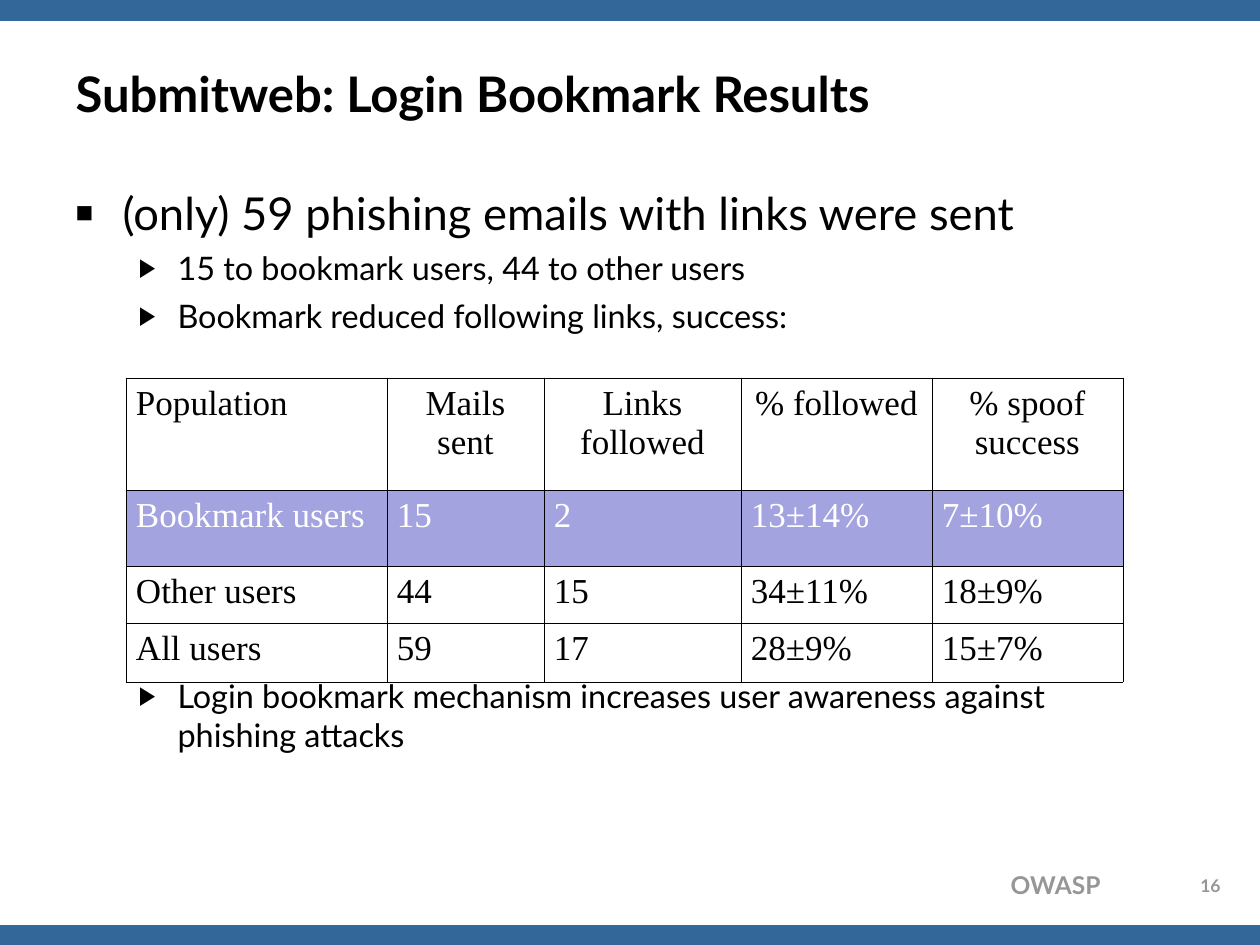
import pptx
import pptx.util
import pptx.dml.color
import pptx.enum.shapes
import pptx.enum.text
import pptx.oxml
import pptx.oxml.ns
import lxml.etree

PX = 914400 / 126
HUES = {"bar": "336699", "ink": "000000", "gray": "969696",
        "band": "A3A3E0", "white": "FFFFFF"}
ALIGN = pptx.enum.text.PP_ALIGN
qn = pptx.oxml.ns.qn


def place(*sides):
    return [pptx.util.Emu(round(side * PX)) for side in sides]


def style(para, face, size, hue, bold=False, align=ALIGN.LEFT):
    para.alignment = align
    font = para.font
    font.name = face
    font.size = pptx.util.Pt(size)
    font.bold = bold
    font.color.rgb = pptx.dml.color.RGBColor.from_string(HUES[hue])


deck = pptx.Presentation()
deck.slide_width, deck.slide_height = place(1260, 945)
slide = deck.slides.add_slide(deck.slide_layouts[1])
shapes = slide.shapes

for top in (0, 925):
    bar = shapes.add_shape(pptx.enum.shapes.MSO_SHAPE.RECTANGLE,
                           *place(0, top, 1260, 21))
    bar.shadow.inherit = False
    bar.fill.solid()
    bar.fill.fore_color.rgb = pptx.dml.color.RGBColor.from_string(HUES["bar"])
    bar.line.fill.background()

footers = [("OWASP", (784, 864, 329, 43), 14, ALIGN.RIGHT),
           ("16", (1183, 869, 55, 32), 10, ALIGN.CENTER)]
for text, box, size, align in footers:
    frame = shapes.add_textbox(*place(*box)).text_frame
    frame.word_wrap = True
    frame.text = text
    style(frame.paragraphs[0], "Lato", size, "gray", True, align)

title = shapes.title
title.left, title.top, title.width, title.height = place(63, 38, 1134, 110)
title.text_frame.text = "Submitweb: Login Bookmark Results"
title.text_frame.vertical_anchor = pptx.enum.text.MSO_ANCHOR.MIDDLE
style(title.text_frame.paragraphs[0], "Lato", 28, "ink", True)

body = slide.placeholders[1]
body.left, body.top, body.width, body.height = place(63, 179, 1092, 665)
frame = body.text_frame
frame.auto_size = pptx.enum.text.MSO_AUTO_SIZE.NONE
points = [
    ("(only) 59 phishing emails with links were sent", 0, 0),
    ("15 to bookmark users, 44 to other users", 1, 5),
    ("Bookmark reduced following links, success:", 1, 5),
    ("Login bookmark mechanism increases user awareness against phishing attacks",
     1, 195),
]
levels = [(25.9, 47, -47, "■", 65000), (18.5, 102, -39, "▶", 80000)]
frame.text = "\n".join(text for text, level, gap in points)
for para, (text, level, gap) in zip(frame.paragraphs, points):
    size, left, hang, mark, scale = levels[level]
    para.level = level
    para.space_before = pptx.util.Pt(gap)
    props = para._p.get_or_add_pPr()
    for key, length in zip(("marL", "indent"), place(left, hang)):
        props.set(key, str(length))
    lxml.etree.SubElement(props, qn("a:buSzPct"), val=str(scale))
    lxml.etree.SubElement(props, qn("a:buChar"), char=mark)
    style(para, "Lato", size, "ink")

rows = [
    ["Population", "Mails sent", "Links followed", "% followed", "% spoof success"],
    ["Bookmark users", "15", "2", "13±14%", "7±10%"],
    ["Other users", "44", "15", "34±11%", "18±9%"],
    ["All users", "59", "17", "28±9%", "15±7%"],
]
widths = [261, 157, 197, 191, 191]
heights = [112, 76, 57, 59]
table = shapes.add_table(len(rows), len(widths),
                         *place(126, 378, sum(widths), sum(heights))).table
table.first_row = table.horz_banding = False
for col, width in zip(table.columns, place(*widths)):
    col.width = width
for row, height in zip(table.rows, place(*heights)):
    row.height = height

for r, texts in enumerate(rows):
    for c, text in enumerate(texts):
        cell = table.cell(r, c)
        cell.text = text
        cell.margin_left, cell.margin_right = place(10, 10)
        cell.margin_top, cell.margin_bottom = place(6, 6)
        props = cell._tc.get_or_add_tcPr()
        for side in ("lnL", "lnR", "lnT", "lnB"):
            line = lxml.etree.SubElement(props, qn("a:" + side), w="5715")
            fill = lxml.etree.SubElement(line, qn("a:solidFill"))
            lxml.etree.SubElement(fill, qn("a:srgbClr"), val=HUES["ink"])
        if r == 1:
            cell.fill.solid()
            cell.fill.fore_color.rgb = pptx.dml.color.RGBColor.from_string(HUES["band"])
        else:
            cell.fill.background()
        style(cell.text_frame.paragraphs[0], "Times New Roman", 20,
              "white" if r == 1 else "ink",
              align=ALIGN.CENTER if r == 0 and c > 0 else ALIGN.LEFT)

deck.save("out.pptx")
